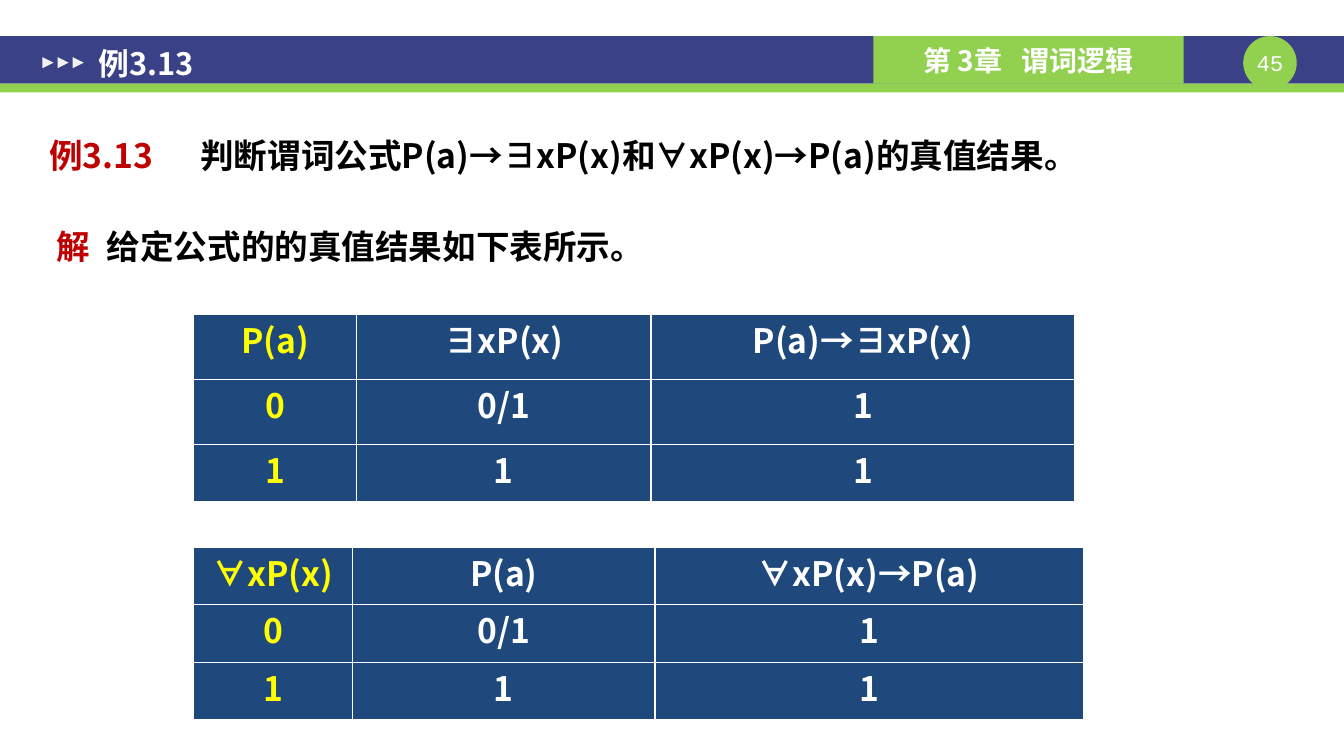
from lxml.etree import SubElement
from pptx import Presentation
from pptx.dml.color import RGBColor
from pptx.enum.shapes import MSO_SHAPE
from pptx.enum.text import MSO_ANCHOR, MSO_AUTO_SIZE, PP_ALIGN
from pptx.oxml.ns import qn
from pptx.util import Cm, Pt

SANS = "Noto Sans CJK SC"
WHITE, GREEN, INDIGO = "FFFFFF", "92D050", "3A4187"
NAVY, RED, YELLOW, BLACK = "1F497D", "C00000", "FFFF00", "000000"


def paint(color, tone):
    color.rgb = RGBColor.from_string(tone)


def fill(shape, tone):
    shape.fill.solid()
    paint(shape.fill.fore_color, tone)


def style(font, size, tone, name=SANS, bold=True):
    font.size, font.bold, font.name = Pt(size), bold, name
    paint(font.color, tone)
    SubElement(font._element if hasattr(font, "_element") else font._rPr,
               qn("a:ea"), typeface=name)


def place(shape, left, top, width, height):
    shape.left, shape.top = Cm(left), Cm(top)
    shape.width, shape.height = Cm(width), Cm(height)


def inset(frame, side, edge):
    frame.margin_left = frame.margin_right = Cm(side)
    frame.margin_top = frame.margin_bottom = Cm(edge)


def block(slide, kind, tone, *box):
    shape = slide.shapes.add_shape(kind, *map(Cm, box))
    shape.shadow.inherit = False
    fill(shape, tone)
    shape.line.fill.background()
    return shape


def header(slide, left, top, width, title, tag, page):
    rect = MSO_SHAPE.RECTANGLE
    block(slide, rect, INDIGO, left, top, width, 1.2)
    block(slide, rect, GREEN, left, top + 1.2, width, 0.22)
    disc = block(slide, MSO_SHAPE.OVAL, GREEN,
                 left + width - 2.54, top, 1.35, 1.35)
    label = block(slide, rect, GREEN, left + width - 11.86, top, 7.82, 1.2)
    for shape, text, size, name, bold in (
            (disc, page, 16, "Courier New", False),
            (label, tag, 20, SANS, True)):
        frame = shape.text_frame
        frame.vertical_anchor = MSO_ANCHOR.MIDDLE
        frame.text = text
        para = frame.paragraphs[0]
        para.alignment = PP_ALIGN.CENTER
        style(para.font, size, WHITE, name, bold)
    inset(disc.text_frame, 0, 0)
    for step in range(3):
        arrow = block(slide, MSO_SHAPE.ISOSCELES_TRIANGLE, "F2F2F2",
                      left + 1.07 + 0.38 * step, top + 0.53, 0.28, 0.28)
        arrow.rotation = 90

    head = slide.shapes.title
    slide.shapes._spTree.append(head._element)
    place(head, left + 2.16, top + 0.11, 14.73, 1.12)
    frame = head.text_frame
    frame.auto_size = MSO_AUTO_SIZE.NONE
    frame.vertical_anchor = MSO_ANCHOR.MIDDLE
    inset(frame, 0.33, 0.18)
    frame.text = title
    para = frame.paragraphs[0]
    para.alignment = PP_ALIGN.LEFT
    style(para.font, 22, WHITE)


def line(shape, box, pad, lead, text, stop, space):
    place(shape, *box)
    frame = shape.text_frame
    frame.word_wrap = True
    frame.auto_size = MSO_AUTO_SIZE.NONE
    inset(frame, *pad)
    para = frame.paragraphs[0]
    para.line_spacing, para.space_before = space, Pt(0)
    props = para._p.get_or_add_pPr()
    props.set("marL", "0")
    props.set("indent", "0")
    SubElement(props, qn("a:buNone"))
    tabs = SubElement(props, qn("a:tabLst"))
    SubElement(tabs, qn("a:tab"), pos=str(Cm(stop)), algn="l")
    style(para.font, 24, BLACK)
    for part, tone in ((lead + "\t", RED), (text, BLACK)):
        run = para.add_run()
        run.text = part
        paint(run.font.color, tone)


def border(cell):
    props = cell._tc.get_or_add_tcPr()
    for side in ("lnL", "lnR", "lnT", "lnB"):
        edge = SubElement(props, qn("a:" + side), w=str(Pt(1)))
        SubElement(SubElement(edge, qn("a:solidFill")),
                   qn("a:srgbClr"), val=WHITE)


def truth(slide, left, top, cols, rows, heads):
    data = (heads, ("0", "0/1", "1"), ("1", "1", "1"))
    grid = slide.shapes.add_table(
        len(rows), len(cols), Cm(left), Cm(top),
        Cm(sum(cols)), Cm(sum(rows))).table
    grid.first_row = grid.horz_banding = False
    for col, width in zip(grid.columns, cols):
        col.width = Cm(width)
    for row, height, texts in zip(grid.rows, rows, data):
        row.height = Cm(height)
        for spot, (cell, text) in enumerate(zip(row.cells, texts)):
            border(cell)
            fill(cell, NAVY)
            inset(cell, 0.05, 0)
            cell.text = text
            para = cell.text_frame.paragraphs[0]
            para.alignment = PP_ALIGN.CENTER
            style(para.font, 24, WHITE if spot else YELLOW)


def main():
    deck = Presentation()
    deck.slide_width, deck.slide_height = Cm(33.88), Cm(19.05)
    slide = deck.slides.add_slide(deck.slide_layouts[1])
    header(slide, 0, 0.91, 33.88, "例3.13", "第 3章   谓词逻辑", "45 ")
    line(slide.placeholders[1], (0.91, 2.51, 31.95, 2.13), (0.33, 0.18),
         "例3.13", "判断谓词公式P(a)→∃xP(x)和∀xP(x)→P(a)的真值结果。",
         3.42, 1.7)
    line(slide.shapes.add_textbox(0, 0, 0, 0), (1.17, 5.05, 31.7, 1.63),
         (0.25, 0.13), "解", "给定公式的的真值结果如下表所示。", 1.42, 1.5)
    truth(slide, 4.88, 13.79, (4.01, 7.62, 10.8), (1.45,) * 3,
          ("∀xP(x)", "P(a)", "∀xP(x)→P(a)"))
    truth(slide, 4.88, 7.92, (4.11, 7.42, 10.69), (1.65, 1.63, 1.43),
          ("P(a)", "∃xP(x)", "P(a)→∃xP(x)"))
    deck.save("out.pptx")


if __name__ == "__main__":
    main()
